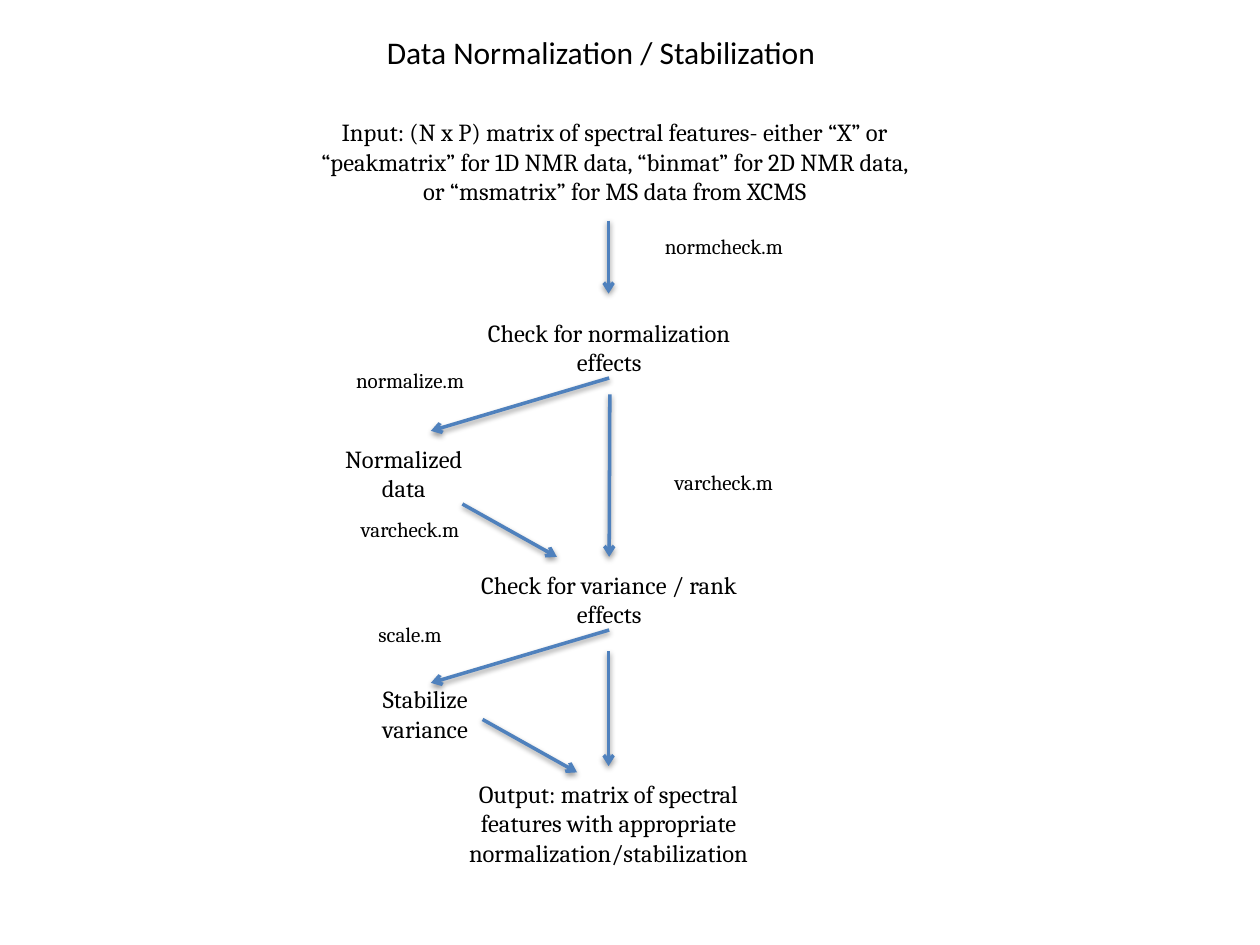
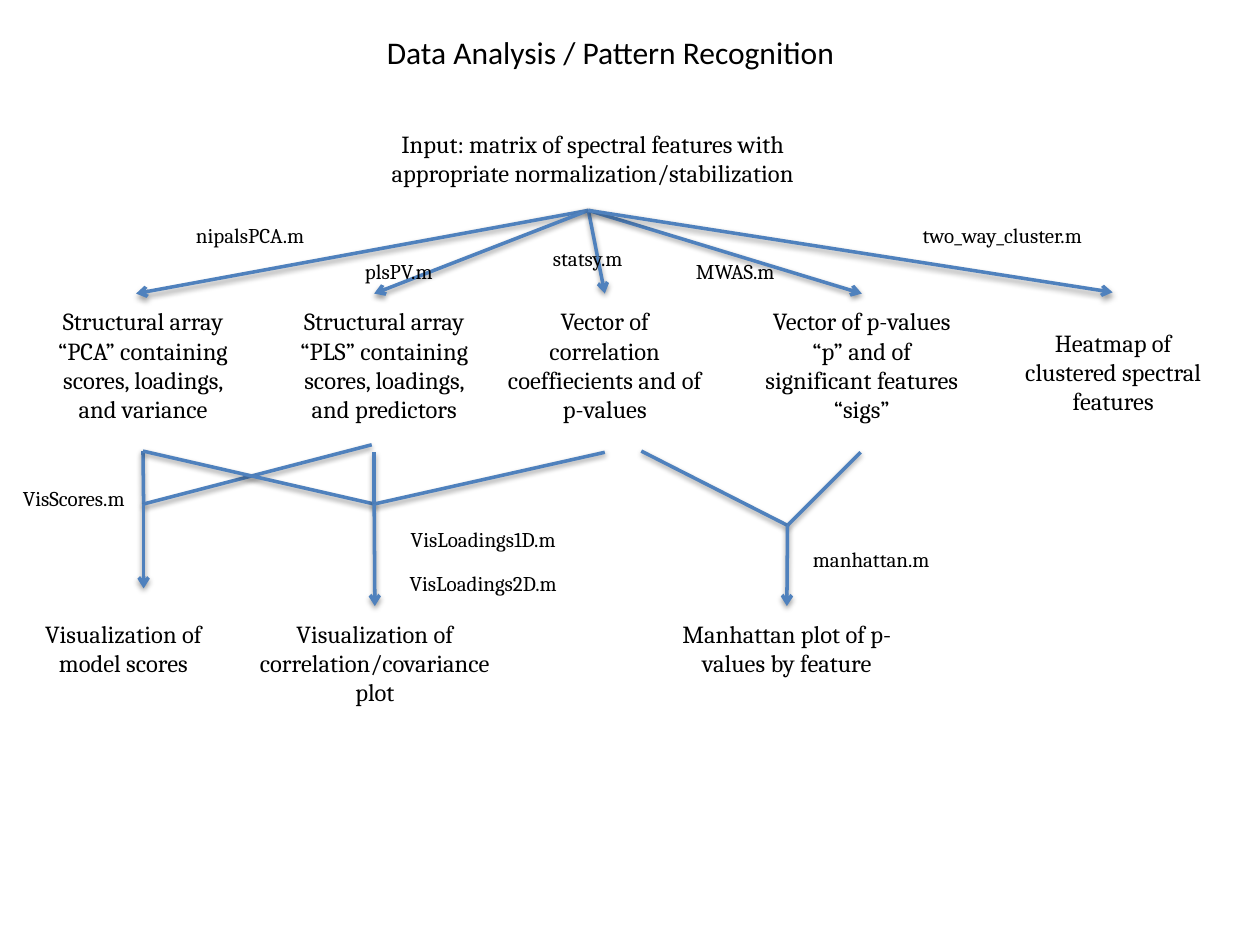
from dataclasses import dataclass

from lxml import etree
from pptx import Presentation
from pptx import util as u
from pptx.dml import color
from pptx.enum import shapes, text
from pptx.oxml import ns


@dataclass(frozen=True)
class Theme:
    ink: color.RGBColor = color.RGBColor(0, 0, 0)
    line: color.RGBColor = color.RGBColor(0x4F, 0x81, 0xBD)
    title_font: str = "Calibri"
    body_font: str = "Cambria"
    title_size: int = 18
    step_size: int = 14
    label_size: int = 12
    line_width: int = 2
    inset: float = 0.1


THEME = Theme()
TOP, BOTTOM = 0, 2
LABEL_W, LABEL_H = 1.49, 0.37
SHADOW = (
    f'<a:effectLst {ns.nsdecls("a")}>'
    '<a:outerShdw blurRad="40000" dist="20000" dir="5400000" rotWithShape="0">'
    '<a:srgbClr val="000000"><a:alpha val="38000"/></a:srgbClr>'
    "</a:outerShdw></a:effectLst>"
)


def format_paragraph(p, font, size, align):
    p.alignment = align
    p.font.name = font
    p.font.size = u.Pt(size)
    p.font.color.rgb = THEME.ink


def add_titled_slide(prs, title):
    slide = prs.slides.add_slide(prs.slide_layouts[5])
    sp = slide.shapes.title
    sp.left, sp.top = u.Inches(2.97), u.Inches(0.21)
    sp.width, sp.height = u.Inches(3.86), u.Inches(0.4)
    tf = sp.text_frame
    tf.text = title
    tf.vertical_anchor = text.MSO_ANCHOR.TOP
    tf.auto_size = text.MSO_AUTO_SIZE.SHAPE_TO_FIT_TEXT
    format_paragraph(tf.paragraphs[0], THEME.title_font, THEME.title_size, text.PP_ALIGN.LEFT)
    return slide


def add_step(slide, words, left, top, width, height, size=THEME.step_size):
    sp = slide.shapes.add_textbox(*map(u.Inches, (left, top, width, height)))
    tf = sp.text_frame
    tf.word_wrap = True
    tf.margin_left = tf.margin_right = u.Inches(THEME.inset)
    tf.margin_top = tf.margin_bottom = u.Inches(THEME.inset)
    tf.text = words
    format_paragraph(tf.paragraphs[0], THEME.body_font, size, text.PP_ALIGN.CENTER)
    return sp


def add_label(slide, words, left, top, width=LABEL_W):
    return add_step(slide, words, left, top, width, LABEL_H, THEME.label_size)


def is_point(end):
    return isinstance(end[0], (int, float))


def add_line(slide, start, finish, arrow=False):
    points = [end if is_point(end) else (0, 0) for end in (start, finish)]
    lengths = [u.Inches(v) for point in points for v in point]
    line = slide.shapes.add_connector(shapes.MSO_CONNECTOR.STRAIGHT, *lengths)
    if not is_point(start):
        line.begin_connect(*start)
    if not is_point(finish):
        line.end_connect(*finish)
    line.line.color.rgb = THEME.line
    line.line.width = u.Pt(THEME.line_width)
    sp_pr = line.element.spPr
    if arrow:
        ln = sp_pr.find(ns.qn("a:ln"))
        etree.SubElement(ln, ns.qn("a:tailEnd"), type="arrow")
    sp_pr.append(etree.fromstring(SHADOW))
    return line


def add_arrow(slide, start, finish):
    return add_line(slide, start, finish, arrow=True)


def build_normalization(prs):
    slide = add_titled_slide(prs, "Data Normalization / Stabilization")
    add_step(
        slide,
        "Input: (N x P) matrix of spectral features- either “X” or “peakmatrix” "
        "for 1D NMR data, “binmat” for 2D NMR data, or “msmatrix” for MS data from XCMS",
        2.42, 0.83, 4.92, 0.88,
    )
    norm_check = add_step(slide, "Check for normalization effects", 3.67, 2.42, 2.33, 0.58)
    add_step(slide, "Normalized data", 2.58, 3.42, 1.25, 0.58)
    var_check = add_step(slide, "Check for variance / rank effects", 3.67, 4.42, 2.33, 0.58)
    add_step(slide, "Stabilize variance", 2.75, 5.33, 1.25, 0.58)
    output = add_step(
        slide,
        "Output: matrix of spectral features with appropriate normalization/stabilization",
        3.54, 6.08, 2.58, 0.58,
    )

    for start, finish in (
        ((4.83, 1.75), (4.83, 2.33)),
        ((norm_check, BOTTOM), (3.42, 3.42)),
        ((4.84, 3.13), (var_check, TOP)),
        ((3.67, 4), (4.42, 4.42)),
        ((var_check, BOTTOM), (3.42, 5.42)),
        ((4.83, 5.17), (output, TOP)),
        ((3.83, 5.71), (4.58, 6.13)),
    ):
        add_arrow(slide, start, finish)

    for words, top in (("normcheck.m", 1.75), ("varcheck.m", 3.63)):
        add_label(slide, words, 5, top)
    for words, top in (("normalize.m", 2.82), ("varcheck.m", 4), ("scale.m", 4.83)):
        add_label(slide, words, 2.51, top)


def build_analysis(prs):
    slide = add_titled_slide(prs, "Data Analysis / Pattern Recognition")
    add_step(
        slide,
        "Input: matrix of spectral features with appropriate normalization/stabilization",
        2.83, 0.92, 3.75, 0.58,
    )
    pca = add_step(
        slide, "Structural array “PCA” containing scores, loadings, and variance",
        0.29, 2.33, 1.69, 1.25,
    )
    _, correlation, p_values = [
        add_step(slide, words, left, 2.33, 1.74, 1.38)
        for words, left in (
            ("Structural array “PLS” containing scores, loadings, and predictors", 2.18),
            ("Vector of correlation coeffiecients and of p-values", 3.93),
            ("Vector of p-values “p” and of significant features “sigs”", 5.97),
        )
    ]
    add_step(slide, "Heatmap of clustered spectral features", 7.99, 2.5, 1.69, 1.25)
    _, loadings_plot, manhattan_plot = [
        add_step(slide, words, left, 4.81, width, 1.12)
        for words, left, width in (
            ("Visualization of model scores", 0.11, 1.74),
            ("Visualization of correlation/covariance plot", 1.85, 2.25),
            ("Manhattan plot of p-values by feature", 5.12, 2.25),
        )
    ]

    source = (4.67, 1.67)
    for target in ((1.08, 2.33), (2.97, 2.33), (correlation, TOP), (p_values, TOP), (8.83, 2.32)):
        add_arrow(slide, source, target)

    scores_join, loadings_join, manhattan_join = (1.14, 4), (2.97, 4), (6.25, 4.17)
    for join, starts, target in (
        (scores_join, ((pca, BOTTOM), (2.95, 3.53)), (1.14, 4.67)),
        (loadings_join, ((pca, BOTTOM), (2.97, 3.59), (4.8, 3.59)), (loadings_plot, TOP)),
        (manhattan_join, ((5.09, 3.58), (6.83, 3.59)), (manhattan_plot, TOP)),
    ):
        for start in starts:
            add_line(slide, start, join)
        add_arrow(slide, join, target)

    for words, left, top in (
        ("nipalsPCA.m", 1.24, 1.67),
        ("plsPV.m", 2.42, 1.95),
        ("MWAS.m", 5.09, 1.95),
        ("VisScores.m", -0.16, 3.75),
        ("VisLoadings1D.m", 3.09, 4.08),
        ("VisLoadings2D.m", 3.09, 4.43),
        ("manhattan.m", 6.17, 4.24),
    ):
        add_label(slide, words, left, top)
    add_label(slide, "statsy.m", 3.75, 1.85, 1.83)
    add_label(slide, "two_way_cluster.m", 7.08, 1.67, 1.75)


def main():
    prs = Presentation()
    prs.slide_width, prs.slide_height = u.Inches(10), u.Inches(7.5)
    build_normalization(prs)
    build_analysis(prs)
    prs.save("out.pptx")


if __name__ == "__main__":
    main()
